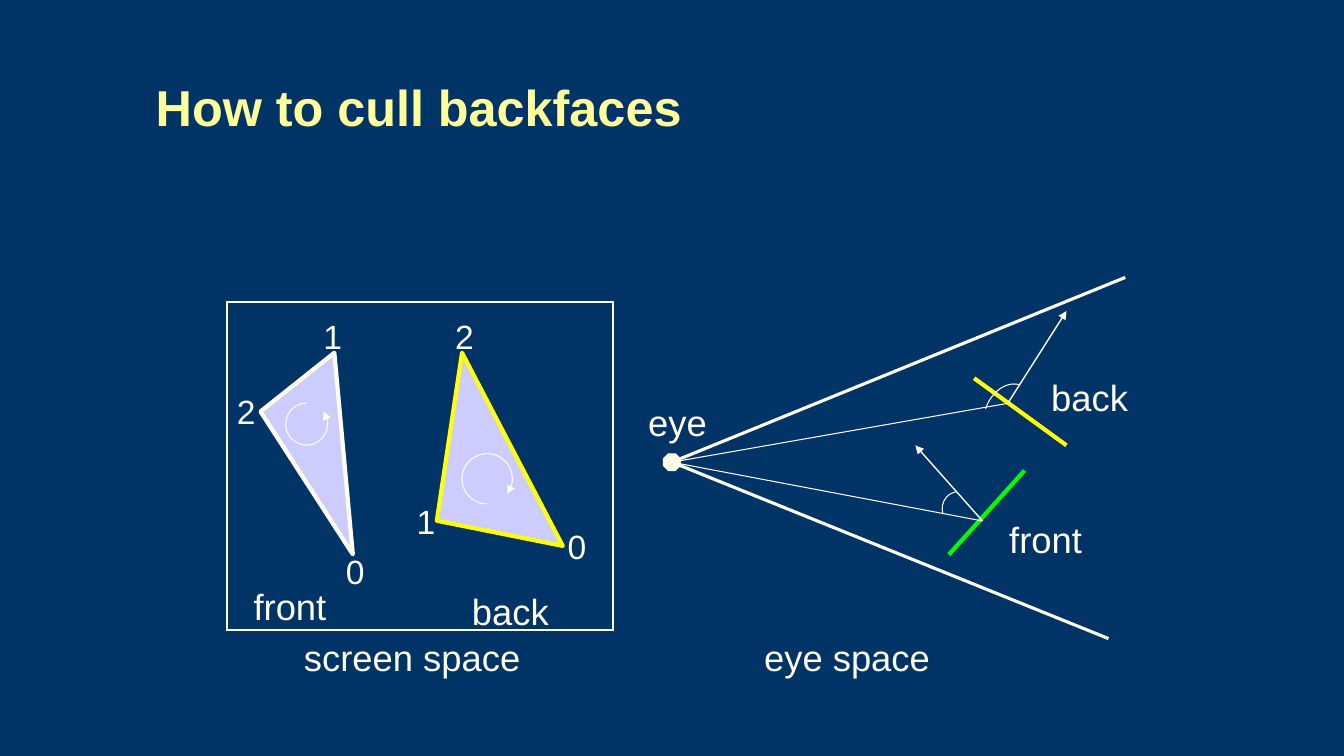
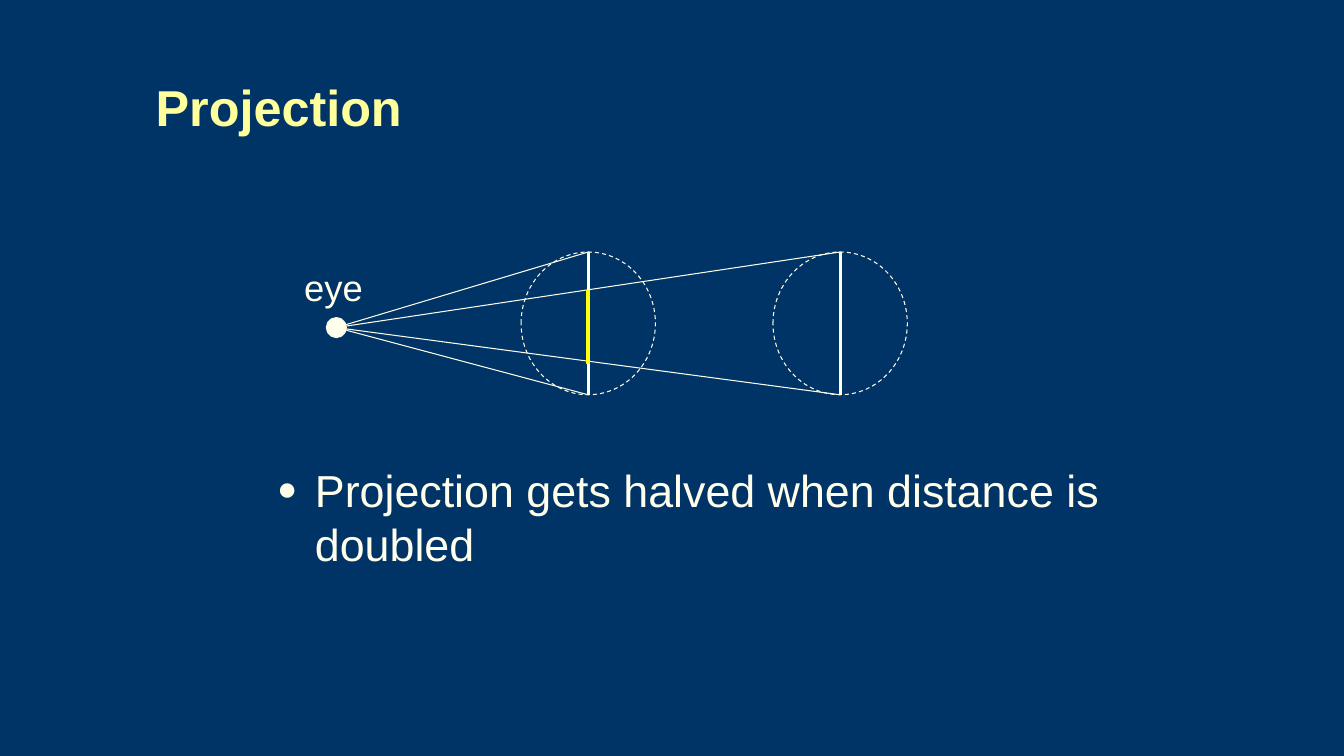
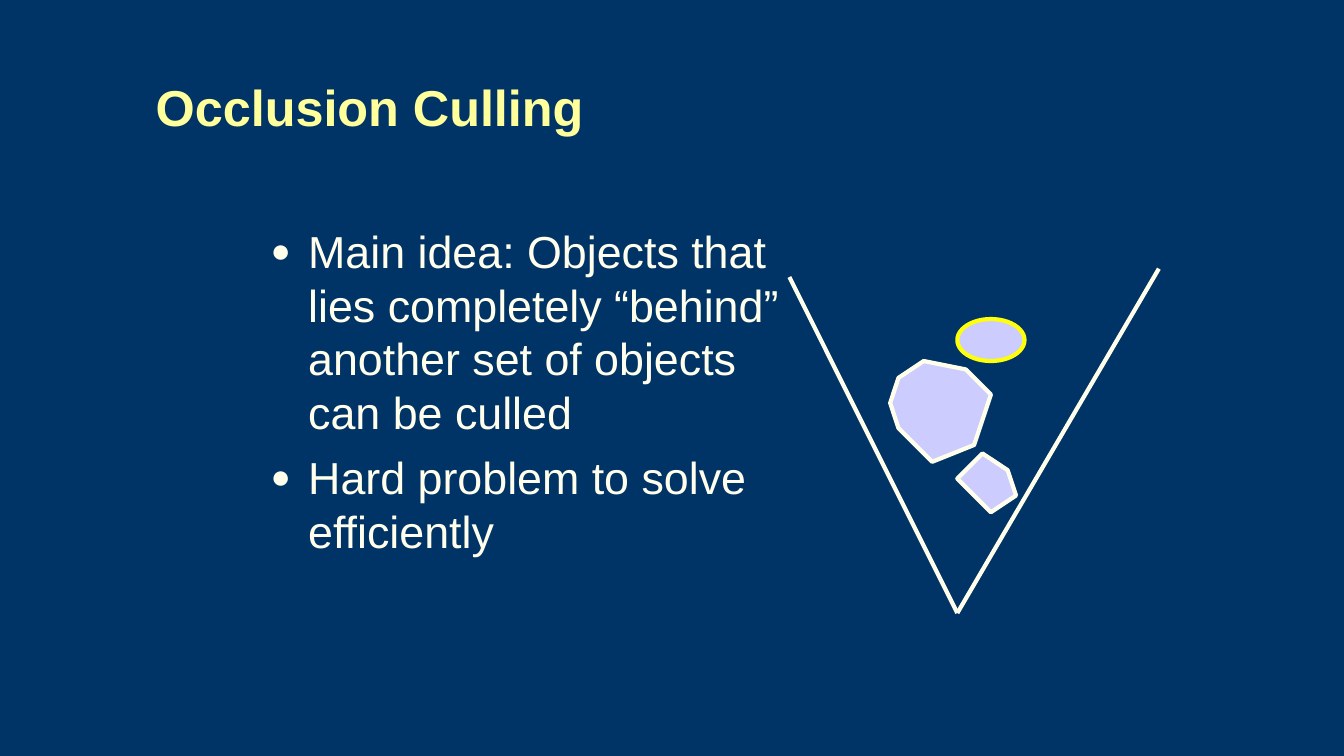
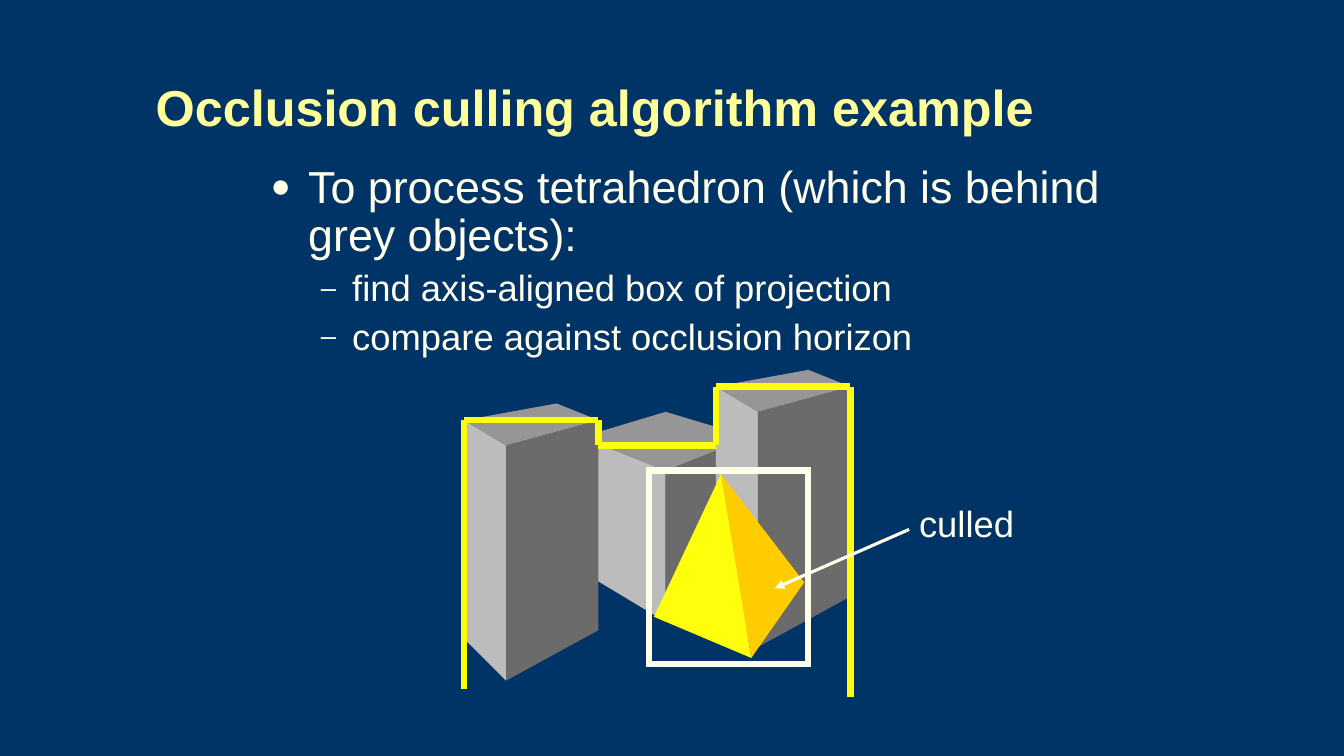
import dataclasses

import lxml.etree
import pptx
import pptx.dml.color
import pptx.enum.dml
import pptx.enum.shapes
import pptx.enum.text
import pptx.oxml.ns
import pptx.util

Cm = pptx.util.Cm
Pt = pptx.util.Pt
SHAPES = pptx.enum.shapes.MSO_SHAPE
FIT = pptx.enum.text.MSO_AUTO_SIZE

COLORS = {
    "background": "003366",
    "title": "FFFF9B",
    "text": "FFFFEB",
    "accent": "FFFF0B",
    "front": "00FF00",
    "solid": "CCCCFF",
    "light": "BCBCBC",
    "middle": "969696",
    "dark": "6B6B6B",
    "orange": "FFCC00",
}
FONT = "Arial"
GRID = 2.54 / 12
LABEL_SIZE = 26
DIGIT_SIZE = 24
BULLETS = [
    {"char": "●", "size": 32, "indent": 0.95, "hanging": 0.95, "before": 8},
    {"char": "–", "size": 26, "indent": 2.06, "hanging": 0.79, "before": 6.5},
]


@dataclasses.dataclass
class Box:
    left: float
    top: float
    width: float
    height: float

    def point(self, column, row):
        return Cm(self.left + column * GRID), Cm(self.top + row * GRID)

    def frame(self, column, row, width, height):
        return *self.point(column, row), Cm(width * GRID), Cm(height * GRID)

    def edges(self):
        return Cm(self.left), Cm(self.top), Cm(self.width), Cm(self.height)


TITLE_BOX = Box(3.67, 0.41, 29.64, 3.18)


def color_of(name):
    return pptx.dml.color.RGBColor.from_string(COLORS[name])


def add_child(parent, tag, **attributes):
    child = lxml.etree.SubElement(parent, pptx.oxml.ns.qn(tag))
    for key, value in attributes.items():
        child.set(key, value)
    return child


def add_span(para, words, size, color="text", bold=False):
    span = para.add_run()
    span.text = words
    span.font.name = FONT
    span.font.size = Pt(size)
    span.font.bold = bold
    span.font.color.rgb = color_of(color)


def style_line(shape, color, weight, arrow=None, dashed=False, mitred=False):
    shape.line.color.rgb = color_of(color)
    shape.line.width = Pt(weight)
    if dashed:
        shape.line.dash_style = pptx.enum.dml.MSO_LINE.DASH
    line = shape.element.spPr.find(pptx.oxml.ns.qn("a:ln"))
    if mitred:
        add_child(line, "a:miter", lim="800000")
    if arrow:
        add_child(line, arrow, type="triangle")


def style_shape(shape, fill, line, weight, **line_options):
    shape.shadow.inherit = False
    if fill:
        shape.fill.solid()
        shape.fill.fore_color.rgb = color_of(fill)
    else:
        shape.fill.background()
    if line:
        style_line(shape, line, weight, **line_options)
    else:
        shape.line.fill.background()


def add_figure(page, box, kind, frame, fill=None, line="text", weight=0.75, **line_options):
    shape = page.shapes.add_shape(kind, *box.frame(*frame))
    style_shape(shape, fill, line, weight, **line_options)
    return shape


def add_line(page, box, start, end, color="text", weight=0.75, arrow=None):
    line = page.shapes.add_connector(
        pptx.enum.shapes.MSO_CONNECTOR.STRAIGHT, *box.point(*start), *box.point(*end)
    )
    style_line(line, color, weight, arrow)
    add_child(line.element.spPr, "a:effectLst")


def add_polygon(page, box, points, fill, line=None, weight=3):
    corners = [box.point(*point) for point in points]
    builder = page.shapes.build_freeform(*corners[0], scale=1.0)
    builder.add_line_segments(corners[1:], close=True)
    style_shape(builder.convert_to_shape(), fill, line, weight)


def add_arc(page, box, center, radii, start, end, rotation=0, arrow=None):
    (column, row), (across, down) = center, radii
    frame = (column - across, row - down, 2 * across, 2 * down)
    arc = add_figure(page, box, SHAPES.ARC, frame, arrow=arrow)
    arc.adjustments[0] = start * 0.6
    arc.adjustments[1] = end * 0.6
    arc.rotation = rotation


def add_label(page, box, words, column, row, width, size=LABEL_SIZE):
    frame = box.frame(column, row, width, size / 4)
    text = page.shapes.add_textbox(*frame).text_frame
    text.word_wrap = False
    text.auto_size = FIT.SHAPE_TO_FIT_TEXT
    add_span(text.paragraphs[0], words, size)


def add_digit(page, box, words, column, row):
    add_label(page, box, words, column, row, 4.5, DIGIT_SIZE)


def add_page(deck, heading):
    page = deck.slides.add_slide(deck.slide_layouts[5])
    title = page.shapes.title
    title.left, title.top, title.width, title.height = TITLE_BOX.edges()
    text = title.text_frame
    text.word_wrap = True
    text.auto_size = FIT.NONE
    text.vertical_anchor = pptx.enum.text.MSO_ANCHOR.BOTTOM
    para = text.paragraphs[0]
    para.alignment = pptx.enum.text.PP_ALIGN.LEFT
    para.line_spacing = 0.9
    add_span(para, heading, 36, "title", True)
    return page


def add_bullets(page, box, items, spacing=1.0):
    text = page.shapes.add_textbox(*box.edges()).text_frame
    text.word_wrap = True
    for index, (level, words) in enumerate(items):
        style = BULLETS[level]
        para = text.paragraphs[0] if index == 0 else text.add_paragraph()
        para.level = level
        properties = para._p.get_or_add_pPr()
        properties.set("marL", str(Cm(style["indent"])))
        properties.set("indent", str(-Cm(style["hanging"])))
        add_child(add_child(properties, "a:buClr"), "a:srgbClr", val=COLORS["text"])
        add_child(properties, "a:buSzPct", val="75000")
        add_child(properties, "a:buFont", typeface=FONT)
        add_child(properties, "a:buChar", char=style["char"])
        para.line_spacing = spacing
        if index:
            para.space_before = Pt(style["before"])
        add_span(para, words, style["size"])


def draw_screen_space(page, box):
    add_figure(page, box, SHAPES.RECTANGLE, (0, 0, 46, 39), weight=1.5, mitred=True)
    add_label(page, box, "screen space", 8, 39, 28.2)

    add_polygon(page, box, [(12.8, 6), (4, 13), (15, 30)], "solid", "text")
    add_arc(page, box, (9.5, 14.5), (2.5, 2.5), 323, 270, arrow="a:headEnd")
    add_polygon(page, box, [(28, 6), (25, 26), (40, 29)], "solid", "accent")
    add_arc(page, box, (31, 21), (3, 3), 90, 37, arrow="a:tailEnd")

    for words, column, row in [
        ("1", 10.3, 1), ("0", 13, 29), ("2", 0, 10),
        ("0", 39.4, 26), ("1", 21.4, 23), ("2", 26, 1),
    ]:
        add_digit(page, box, words, column, row)
    add_label(page, box, "front", 2, 33, 11.1)
    add_label(page, box, "back", 28, 33.6, 11.6)


def draw_eye_space(page, box):
    eye = (4, 22)
    for end in [(58, 0), (56, 43)]:
        add_line(page, box, eye, end, weight=2.25)
    for face, color, middle, tip in [
        [((40, 12), (51, 20)), "accent", (44, 15), (51, 4)],
        [((46, 23), (37, 33)), "front", (41, 29), (33, 20)],
    ]:
        add_line(page, box, *face, color, 3)
        add_line(page, box, middle, tip, weight=1, arrow="a:tailEnd")
        add_line(page, box, eye, middle)
    add_arc(page, box, (44.2, 16.6), (3, 4), 180, 270, 18.7)
    add_arc(page, box, (38.2, 27.6), (2, 2.1), 180, 277, 342.6)
    add_figure(page, box, SHAPES.OCTAGON, (3, 21, 2, 2), "text")
    add_label(page, box, "front", 43, 28, 11.1)
    add_label(page, box, "back", 48, 11, 11.6)
    add_label(page, box, "eye", 0, 14, 9.4)
    add_label(page, box, "eye space", 13.8, 42, 22.2)


def draw_projection(page, box):
    eye, near, far, bottom = (5, 9), 35, 65, 17
    for column in (near, far):
        add_line(page, box, (column, 0), (column, bottom), weight=2.25)
        for row in (0, bottom):
            add_line(page, box, eye, (column, row))
        add_figure(page, box, SHAPES.OVAL, (column - 8, 0, 16, bottom), dashed=True)
    add_line(page, box, (near, 4.5), (near, 13.3), "accent", 3)
    add_figure(page, box, SHAPES.OVAL, (4, 8, 2, 2), "text", weight=3)
    add_label(page, box, "eye", 0, 1, 9.4)


def draw_view_cone(page, box):
    for end in [(0, 1), (44, 0)]:
        add_line(page, box, (20, 41), end, weight=3)
    add_figure(page, box, SHAPES.OVAL, (20, 6, 8, 5), "solid", "accent", 3)
    for points in [
        [(12, 16), (13, 19), (17, 23), (22, 21), (24, 15), (21, 12), (16, 11), (13, 13)],
        [(20, 25), (23, 22), (26, 24), (27, 27), (24, 29)],
    ]:
        add_polygon(page, box, points, "solid", "text")


def draw_tower(page, box, column, row):
    faces = [
        ("light", [(0, 2), (0, 28), (5, 33), (5, 5)]),
        ("dark", [(5, 33), (5, 5), (16, 2), (16, 27)]),
        ("middle", [(5, 5), (0, 2), (11, 0), (16, 2)]),
    ]
    for fill, points in faces:
        add_polygon(page, box, [(column + x, row + y) for x, y in points], fill)


def draw_horizon(page, box):
    add_polygon(page, box, [(14, 8), (14, 24), (24, 30), (24, 12)], "light")
    add_polygon(page, box, [(24, 30), (24, 12), (34, 8), (34, 22)], "dark")
    add_polygon(page, box, [(14, 8), (24, 12), (34, 8), (24, 5)], "middle")
    draw_tower(page, box, 30, 0)
    draw_tower(page, box, 0, 4)

    skyline = [(0, 38), (0, 6), (16, 6), (16, 9), (30, 9), (30, 2), (46, 2), (46, 39)]
    for start, end in zip(skyline, skyline[1:]):
        add_line(page, box, start, end, "accent", 4.5)

    add_figure(page, box, SHAPES.RECTANGLE, (22, 12, 19, 23), weight=4.5, mitred=True)
    apex, base = (30.6, 12.4), (34.2, 34.3)
    add_polygon(page, box, [apex, (22.6, 29.4), base], "accent")
    add_polygon(page, box, [apex, (40.5, 25.3), base], "orange")
    add_label(page, box, "culled", 53, 15, 13.7)
    add_line(page, box, (53, 19), (37, 26), weight=2.25, arrow="a:tailEnd")


def main():
    deck = pptx.Presentation()
    deck.slide_width, deck.slide_height = Cm(33.88), Cm(19.05)
    backdrop = deck.slide_master.background.fill
    backdrop.solid()
    backdrop.fore_color.rgb = color_of("background")

    page = add_page(deck, "How to cull backfaces")
    draw_screen_space(page, Box(5.72, 7.62, 9.74, 9.62))
    draw_eye_space(page, Box(16.09, 6.99, 12.28, 10.26))

    page = add_page(deck, "Projection")
    add_bullets(page, Box(6.74, 11.53, 21.87, 5.28), [
        (0, "Projection gets halved when distance is doubled"),
    ])
    draw_projection(page, Box(7.42, 6.35, 15.45, 3.6))

    page = add_page(deck, "Occlusion Culling")
    add_bullets(page, Box(6.57, 5.51, 13.64, 11.43), [
        (0, "Main idea: Objects that lies completely “behind” another set of objects can be culled"),
        (0, "Hard problem to solve efficiently"),
    ])
    draw_view_cone(page, Box(19.9, 6.77, 9.31, 8.68))

    page = add_page(deck, "Occlusion culling algorithm example")
    add_bullets(page, Box(6.57, 4.02, 22.43, 5.5), [
        (0, "To process tetrahedron (which is behind grey objects):"),
        (1, "find axis-aligned box of projection"),
        (1, "compare against occlusion horizon"),
    ], 0.9)
    draw_horizon(page, Box(11.7, 9.32, 14.12, 8.26))

    deck.save("out.pptx")


if __name__ == "__main__":
    main()
